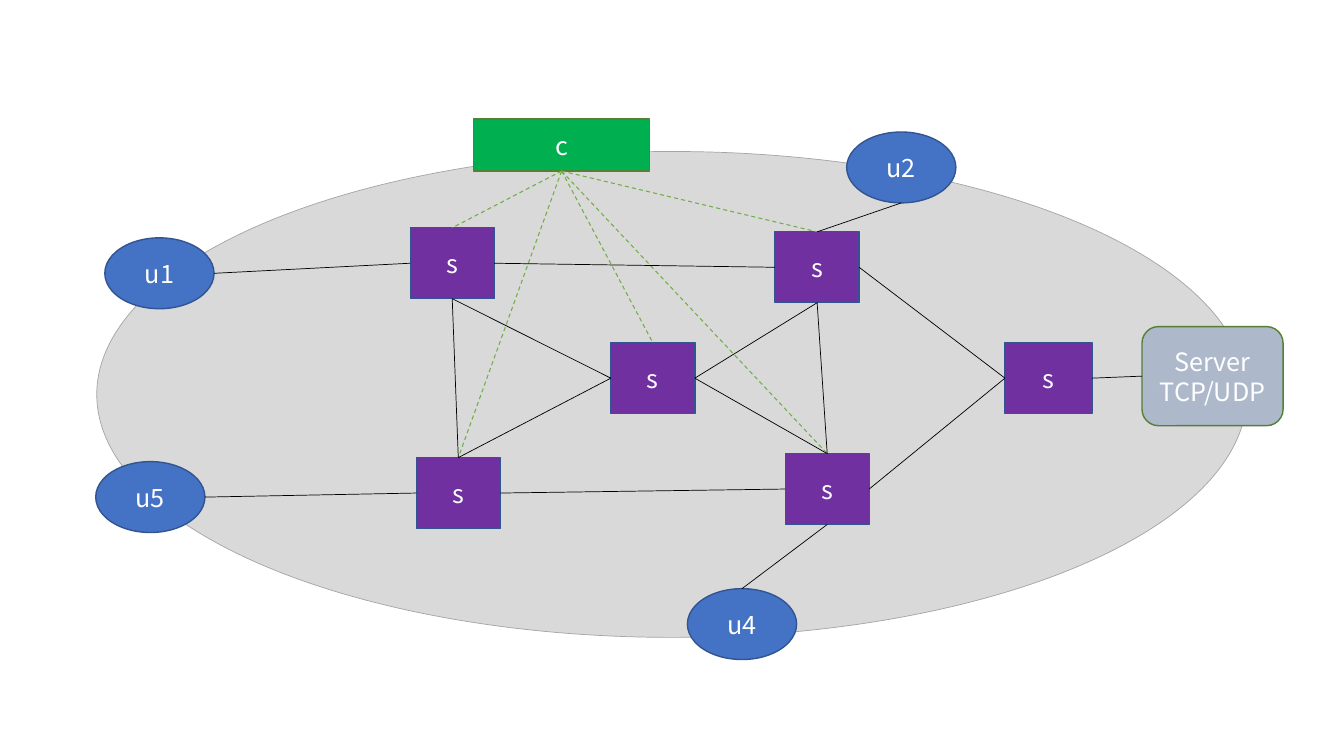
from dataclasses import dataclass
from enum import Enum
from lxml.etree import SubElement
from pptx import Presentation
from pptx.dml.color import RGBColor as Color
from pptx.enum.dml import MSO_LINE_DASH_STYLE as Dash
from pptx.enum.shapes import MSO_AUTO_SHAPE_TYPE as Kind, MSO_CONNECTOR_TYPE as Connector
from pptx.enum.text import MSO_VERTICAL_ANCHOR as Anchor, PP_PARAGRAPH_ALIGNMENT as Align
from pptx.oxml.ns import qn
from pptx.shapes.autoshape import Shape
from pptx.util import Inches, Pt

COLUMNS, ROWS = 80, 45
FONT = "Noto Sans CJK SC"
COLORS = {
    "white": "FFFFFF", "black": "000000", "cloud": "D9D9D9", "cloud_edge": "A5A5A5",
    "switch": "7030A0", "controller": "00B050", "user": "4472C4", "server": "ADB9CA",
    "blue_edge": "325491", "green_edge": "538035", "control": "70AD47",
}

deck = Presentation()
deck.slide_width, deck.slide_height = Inches(13.333), Inches(7.5)
page = deck.slides.add_slide(deck.slide_layouts[6])


def across(columns: float) -> int:
    return round(columns * deck.slide_width / COLUMNS)


def down(rows: float) -> int:
    return round(rows * deck.slide_height / ROWS)


def color(name: str) -> Color:
    return Color.from_string(COLORS[name])


class Side(Enum):
    TOP = (0.5, 0)
    LEFT = (0, 0.5)
    BOTTOM = (0.5, 1)
    RIGHT = (1, 0.5)


@dataclass(frozen=True)
class Style:
    kind: Kind
    fill: str
    edge: str
    weight: float = 1


@dataclass(frozen=True)
class Node:
    style: Style
    column: float
    row: float
    width: float
    height: float
    text: str = ""


@dataclass(frozen=True)
class Link:
    start: str
    start_side: Side
    end: str
    end_side: Side


CLOUD = Style(Kind.OVAL, "cloud", "cloud_edge", 0.5)
SWITCH = Style(Kind.RECTANGLE, "switch", "blue_edge")
CONTROLLER = Style(Kind.RECTANGLE, "controller", "green_edge")
USER = Style(Kind.OVAL, "user", "blue_edge")
SERVER = Style(Kind.ROUNDED_RECTANGLE, "server", "green_edge")


def switch(column: float, row: float, width: float = 5) -> Node:
    return Node(SWITCH, column, row, width, 4.22, "s")


def user(name: str, column: float, row: float) -> Node:
    return Node(USER, column, row, 6.5, 4.22, name)


NODES = {
    "cloud": Node(CLOUD, 5.76, 9.02, 68.46, 28.92),
    "middle": switch(36.36, 20.4),
    "lower left": switch(24.78, 27.24),
    "lower right": switch(46.74, 27),
    "upper left": switch(24.42, 13.56),
    "upper right": switch(46.14, 13.8),
    "exit": switch(59.82, 20.4, 5.18),
    "controller": Node(CONTROLLER, 28.2, 7.08, 10.46, 3.1, "c"),
    "u4": user("u4", 40.92, 35.04),
    "u2": user("u2", 50.4, 7.86),
    "u1": user("u1", 6.24, 14.16),
    "u5": user("u5", 5.7, 27.48),
    "server": Node(SERVER, 67.98, 19.44, 8.4, 5.9, "Server\nTCP/UDP"),
}
CONTROLLED = ("upper left", "middle", "upper right", "lower right", "lower left")
CONTROL_LINKS = [Link("controller", Side.BOTTOM, name, Side.TOP) for name in CONTROLLED]
DATA_LINKS = [
    Link("upper left", Side.LEFT, "u1", Side.RIGHT),
    Link("lower left", Side.LEFT, "u5", Side.RIGHT),
    Link("lower right", Side.BOTTOM, "u4", Side.TOP),
    Link("exit", Side.LEFT, "lower right", Side.RIGHT),
    Link("server", Side.LEFT, "exit", Side.RIGHT),
    Link("upper right", Side.LEFT, "upper left", Side.RIGHT),
    Link("upper right", Side.BOTTOM, "lower right", Side.TOP),
    Link("lower right", Side.LEFT, "lower left", Side.RIGHT),
    Link("upper left", Side.BOTTOM, "lower left", Side.TOP),
    Link("upper right", Side.BOTTOM, "middle", Side.RIGHT),
    Link("middle", Side.LEFT, "upper left", Side.BOTTOM),
    Link("middle", Side.LEFT, "lower left", Side.TOP),
    Link("lower right", Side.TOP, "middle", Side.RIGHT),
    Link("u2", Side.BOTTOM, "upper right", Side.TOP),
    Link("exit", Side.LEFT, "upper right", Side.RIGHT),
]


def draw_node(node: Node) -> Shape:
    style = node.style
    box = page.shapes.add_shape(style.kind, across(node.column), down(node.row),
                                across(node.width), down(node.height))
    box.shadow.inherit = False
    box.fill.solid()
    box.fill.fore_color.rgb = color(style.fill)
    box.line.color.rgb = color(style.edge)
    box.line.width = Pt(style.weight)
    frame = box.text_frame
    frame.word_wrap = True
    frame.vertical_anchor = Anchor.MIDDLE
    frame.text = node.text
    for para in frame.paragraphs:
        para.alignment = Align.CENTER
        para.font.name = FONT
        para.font.size = Pt(18)
        para.font.color.rgb = color("white")
    return box


def side_point(box: Shape, side: Side) -> tuple[int, int]:
    share_x, share_y = side.value
    return round(box.left + share_x * box.width), round(box.top + share_y * box.height)


def site_index(box: Shape, side: Side) -> int:
    sites_per_side = 2 if box.auto_shape_type == Kind.OVAL else 1
    return list(Side).index(side) * sites_per_side


def draw_link(link: Link, boxes: dict[str, Shape], shade: str, weight: float,
              dash: Dash | None = None) -> None:
    start, end = boxes[link.start], boxes[link.end]
    line = page.shapes.add_connector(Connector.STRAIGHT, *side_point(start, link.start_side),
                                     *side_point(end, link.end_side))
    line.line.color.rgb = color(shade)
    line.line.width = Pt(weight)
    if dash is not None:
        line.line.dash_style = dash
    SubElement(line.element.spPr, qn("a:effectLst"))
    joints = line.element.nvCxnSpPr.cNvCxnSpPr
    for tag, box, side in (("a:stCxn", start, link.start_side), ("a:endCxn", end, link.end_side)):
        SubElement(joints, qn(tag), id=str(box.shape_id), idx=str(site_index(box, side)))


boxes = {name: draw_node(node) for name, node in NODES.items()}
for link in CONTROL_LINKS:
    draw_link(link, boxes, "control", 0.75, Dash.DASH)
for link in DATA_LINKS:
    draw_link(link, boxes, "black", 0.5)

deck.save("out.pptx")
